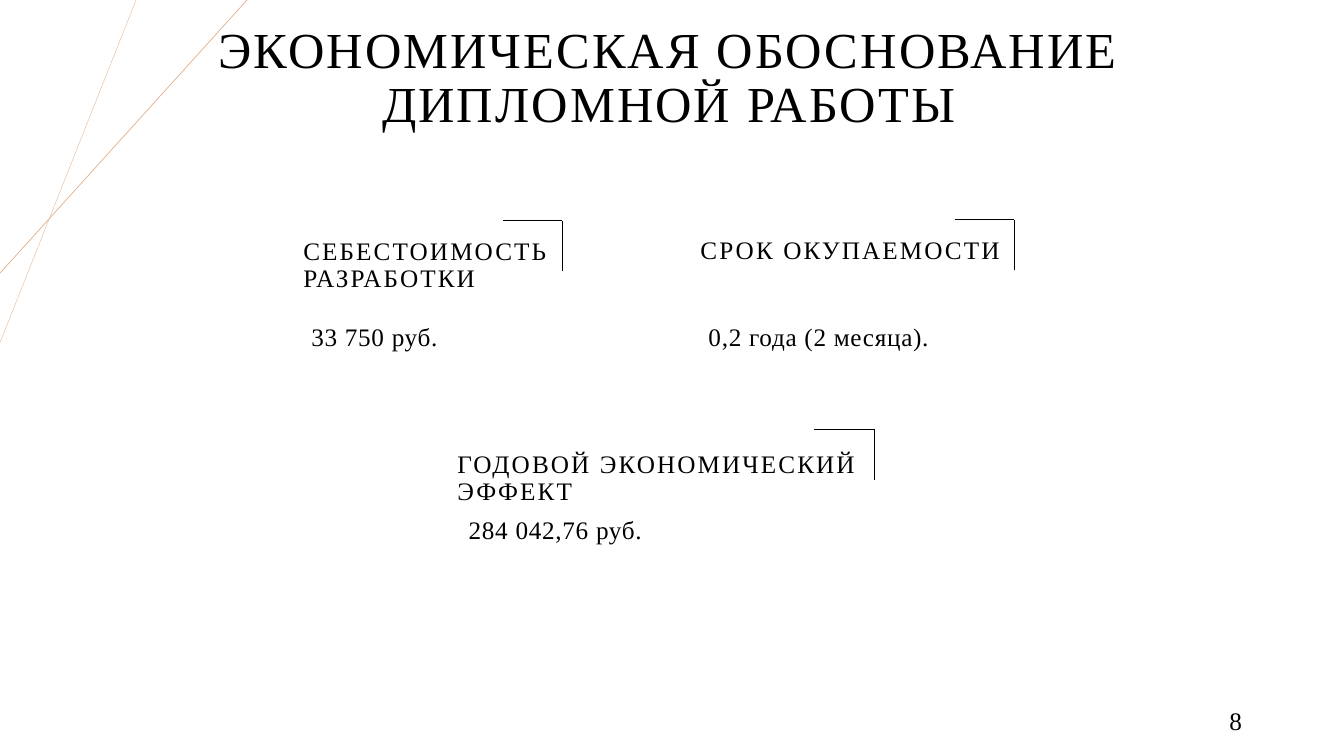
"""Builds the slide on the economic justification of a diploma project."""
from lxml import etree
from pptx import Presentation
from pptx import util as u
from pptx.dml.color import RGBColor
from pptx.enum import shapes, text
from pptx.oxml.ns import qn

COLORS = {"ink": "000000", "ray": "E2B18D"}
ALIGN = text.PP_ALIGN
ANCHOR = text.MSO_ANCHOR

deck = Presentation()
deck.slide_width, deck.slide_height = u.Inches(13.33), u.Inches(7.5)
COLUMN, ROW = deck.slide_width / 100, deck.slide_height / 100
slide = deck.slides.add_slide(deck.slide_layouts[5])


def draw_line(owner, start, end, color, width):
    """Draws a plain line between two points given in percent of the slide."""
    (x1, y1), (x2, y2) = start, end
    line = owner.shapes.add_connector(
        shapes.MSO_CONNECTOR.STRAIGHT,
        int(x1 * COLUMN), int(y1 * ROW), int(x2 * COLUMN), int(y2 * ROW))
    line.line.color.rgb = RGBColor.from_string(COLORS[color])
    line.line.width = u.Pt(width)
    etree.SubElement(line._element.spPr, qn("a:effectLst"))


def write(box, area, words, anchor, paragraph_format, size=18, tracking=0):
    """Places a box by percent of the slide and fills it with one paragraph."""
    left, top, width, height = area
    place = {"left": left * COLUMN, "top": top * ROW,
             "width": width * COLUMN, "height": height * ROW}
    for name, value in place.items():
        setattr(box, name, int(value))
    frame = box.text_frame
    frame_format = {"word_wrap": True, "auto_size": text.MSO_AUTO_SIZE.NONE,
                    "vertical_anchor": anchor}
    for name, value in frame_format.items():
        setattr(frame, name, value)
    paragraph = frame.paragraphs[0]
    for name, value in paragraph_format.items():
        setattr(paragraph, name, value)
    run = paragraph.add_run()
    run.text = words
    for name, value in {"name": "Times New Roman", "size": u.Pt(size)}.items():
        setattr(run.font, name, value)
    run.font.color.rgb = RGBColor.from_string(COLORS["ink"])
    run._r.get_or_add_rPr().set("spc", str(int(tracking * 100)))


for across, down, width in [(10.13, 45.33, 0.25), (18.38, 36.13, 0.5)]:
    draw_line(slide, (across, 0), (0, down), "ray", width)

write(slide.shapes.title, (15.23, 0.8, 69.08, 19.33),
      "ЭКОНОМИЧЕСКАЯ ОБОСНОВАНИЕ ДИПЛОМНОЙ РАБОТЫ", ANCHOR.MIDDLE,
      {"alignment": ALIGN.CENTER, "line_spacing": 0.9}, 36, 1.5)

heading_format = {"alignment": ALIGN.LEFT, "line_spacing": 0.9,
                  "space_before": u.Pt(10)}
value_format = {"alignment": ALIGN.JUSTIFY, "space_before": u.Pt(10)}
indicators = [
    ("СЕБЕСТОИМОСТЬ РАЗРАБОТКИ", (21.83, 28.93, 20.85, 10.53),
     "33 750 руб.", (22.43, 41.87, 11.4, 5.33), (41.85, 29.2)),
    ("СРОК ОКУПАЕМОСТИ", (51.38, 28.8, 24.75, 6.93),
     "0,2 года (2 месяца).", (51.98, 41.87, 18.3, 5.2), (75.45, 29.07)),
    ("ГОДОВОЙ ЭКОНОМИЧЕСКИЙ ЭФФЕКТ", (33.3, 58.67, 32.18, 8.93),
     "284 042,76 руб.", (34.13, 67.33, 23.78, 12.53), (65.03, 56.8)),
]
for heading, heading_area, value, value_area, corner in indicators:
    write(slide.shapes.add_textbox(0, 0, 0, 0), heading_area, heading,
          ANCHOR.BOTTOM, heading_format, tracking=1.5)
    write(slide.shapes.add_textbox(0, 0, 0, 0), value_area, value,
          ANCHOR.TOP, value_format, tracking=0.5)
    bracket = slide.shapes.add_group_shape()
    right, top = corner
    for arm_end in [(right - 4.43, top), (right, top + 6.67)]:
        draw_line(bracket, arm_end, corner, "ink", 0.5)

write(slide.shapes.add_textbox(0, 0, 0, 0), (70.65, 92.67, 22.5, 5.33), "8",
      ANCHOR.MIDDLE, {"alignment": ALIGN.RIGHT})

deck.save("out.pptx")
